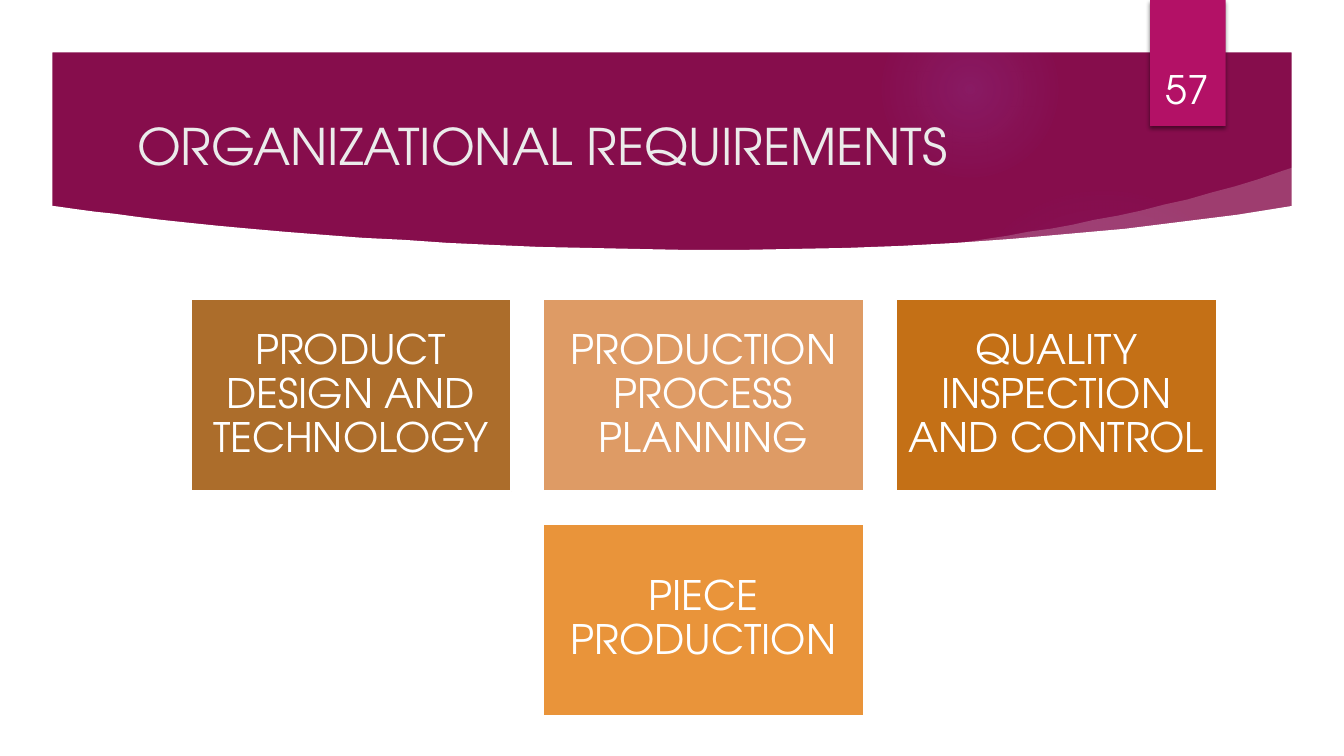
from dataclasses import dataclass

from pptx import Presentation
from pptx.dml.color import RGBColor
from pptx.enum.shapes import MSO_SHAPE
from pptx.enum.text import MSO_ANCHOR, MSO_AUTO_SIZE, PP_ALIGN
from pptx.oxml import parse_xml
from pptx.oxml.ns import nsdecls, qn
from pptx.util import Pt

PX = 9144


@dataclass(frozen=True)
class Theme:
    """Colours, font and type sizes of the slide."""
    font: str = "TeX Gyre Adventor"
    plum: str = "860D4C"
    tab: str = "B31166"
    glow: str = "9B6BF2"
    white: str = "FFFFFF"
    title: str = "EBEBEB"
    title_size: int = 36
    number_size: int = 28
    card_size: int = 29


THEME = Theme()
CARD_ROWS = [
    [("PRODUCT DESIGN AND TECHNOLOGY", "AC6D2B"),
     ("PRODUCTION PROCESS PLANNING", "DE9B65"),
     ("QUALITY INSPECTION AND CONTROL", "C47016")],
    [("PIECE PRODUCTION", "E9943A")],
]
BANNER_CURVE = [
    (1234, 0), (1178, 9), (1122, 16), (1066, 23), (1010, 28), (954, 33),
    (899, 37), (844, 40), (790, 42), (736, 43), (684, 44), (632, 44),
    (582, 43), (533, 42), (485, 41), (438, 39), (394, 37), (351, 34),
    (310, 32), (271, 29), (233, 26), (199, 23), (166, 20), (137, 17),
    (109, 14), (85, 11), (63, 8), (44, 6), (29, 4), (8, 1), (0, 0),
]
STREAK = [
    (884, 46), (980, 42), (1100, 28), (1239, 10), (1233, -38), (1221, -34),
    (1198, -26), (1175, -19), (1152, -13), (1128, -6), (1105, -1), (1082, 5),
    (1059, 10), (1036, 14), (1014, 19), (992, 23), (970, 26), (949, 30),
    (929, 33), (909, 36), (880, 39),
]


def to_emu(box):
    """Turn a box in px into EMU lengths."""
    return [round(length * PX) for length in box]


def paint(shape, color, outline=None):
    """Give a shape a flat fill, an optional outline and no shadow."""
    shape.shadow.inherit = False
    shape.fill.solid()
    shape.fill.fore_color.rgb = RGBColor.from_string(color)
    if outline:
        shape.line.color.rgb = RGBColor.from_string(outline)
        shape.line.width = Pt(1.5)
    else:
        shape.line.fill.background()


def add_block(slide, kind, box, color, outline=None):
    """Add a flat preset shape."""
    shape = slide.shapes.add_shape(kind, *to_emu(box))
    paint(shape, color, outline)
    return shape


def add_outline(slide, origin, points, color):
    """Add a closed polygon whose points are offsets from an origin."""
    left, top = origin
    start, *rest = [(left + x, top + y) for x, y in points]
    builder = slide.shapes.build_freeform(*start, scale=PX)
    builder.add_line_segments(rest, close=True)
    shape = builder.convert_to_shape()
    paint(shape, color)
    return shape


def write(shape, text, *, size, color, align=PP_ALIGN.LEFT,
          anchor=MSO_ANCHOR.MIDDLE, spacing=None, inset=None):
    """Write one formatted paragraph into a shape."""
    frame = shape.text_frame
    frame.word_wrap = True
    frame.auto_size = MSO_AUTO_SIZE.NONE
    frame.vertical_anchor = anchor
    if inset is not None:
        frame.margin_left = frame.margin_right = inset * PX
        frame.margin_top = frame.margin_bottom = inset * PX
    paragraph = frame.paragraphs[0]
    paragraph.alignment = align
    if spacing:
        paragraph.line_spacing = spacing
    run = paragraph.add_run()
    run.text = text
    run.font.name = THEME.font
    run.font.size = Pt(size)
    run.font.color.rgb = RGBColor.from_string(color)


def add_glow(slide, box, stops):
    """Add a round glow from (position, opacity) stops in percent."""
    shape = add_block(slide, MSO_SHAPE.OVAL, box, THEME.glow)
    stop_xml = "".join(
        f'<a:gs pos="{position * 1000}"><a:srgbClr val="{THEME.glow}">'
        f'<a:alpha val="{opacity * 1000}"/></a:srgbClr></a:gs>'
        for position, opacity in stops)
    gradient = parse_xml(
        f'<a:gradFill {nsdecls("a")} rotWithShape="1"><a:gsLst>{stop_xml}</a:gsLst>'
        '<a:path path="circle"><a:fillToRect l="50000" t="50000" r="50000" '
        'b="50000"/></a:path></a:gradFill>')
    properties = shape._element.spPr
    properties.replace(properties.find(qn("a:solidFill")), gradient)


def add_banner(slide, box):
    """Shape the plum banner with glows, a streak and white surroundings."""
    left, top, width, height = box
    add_glow(slide, (left + 891, top - 21, 308, 308), [(0, 7), (36, 6), (69, 0)])
    add_glow(slide, (left + 825, top - 203, 175, 175), [(0, 14), (36, 7), (73, 0)])
    streak = add_outline(slide, (left, top), STREAK, THEME.white)
    color = streak._element.spPr.find(qn("a:solidFill"))[0]
    color.append(parse_xml(f'<a:alpha {nsdecls("a")} val="20000"/>'))
    panel = [(0, height), (width, height), *BANNER_CURVE]
    add_outline(slide, (left, top), panel, THEME.white)
    border = add_block(slide, MSO_SHAPE.FRAME, (0, 0, 1333.33, 750), THEME.white)
    border.adjustments[0] = 0.52 / 7.5


def add_page_tab(slide, box, number):
    """Hang the page number tab with its soft shadow."""
    left, top, width, height = box
    tab = add_block(slide, MSO_SHAPE.RECTANGLE, box, THEME.tab)
    tab._element.spPr.find(qn("a:effectLst")).append(parse_xml(
        f'<a:outerShdw {nsdecls("a")} blurRad="{Pt(3)}" dist="{Pt(2)}" '
        'dir="5400000" rotWithShape="0"><a:srgbClr val="000000">'
        '<a:alpha val="45000"/></a:srgbClr></a:outerShdw>'))
    label = slide.shapes.add_textbox(
        *to_emu((left - 9, top + 32, width + 17, height - 41)))
    write(label, number, size=THEME.number_size, color=THEME.white,
          align=PP_ALIGN.CENTER, anchor=MSO_ANCHOR.BOTTOM)


def add_title(slide, box, text):
    """Place the title placeholder in front of the banner."""
    title = slide.shapes.title
    title.left, title.top, title.width, title.height = to_emu(box)
    write(title, text, size=THEME.title_size, color=THEME.title)
    slide.shapes._spTree.append(title._element)


def add_cards(slide, box, rows):
    """Lay out rows of cards, each row centred in the box."""
    left, top, width, height = box
    gap = 32
    columns = max(len(row) for row in rows)
    card_width = (width - gap * (columns - 1)) / columns
    card_height = (height - gap * (len(rows) - 1)) / len(rows)
    for row_index, row in enumerate(rows):
        row_width = len(row) * (card_width + gap) - gap
        row_left = left + (width - row_width) / 2
        card_top = top + row_index * (card_height + gap)
        for column, (text, color) in enumerate(row):
            card_left = row_left + column * (card_width + gap)
            card = add_block(slide, MSO_SHAPE.RECTANGLE,
                             (card_left, card_top, card_width, card_height),
                             color, THEME.white)
            write(card, text, size=THEME.card_size, color=THEME.white,
                  align=PP_ALIGN.CENTER, spacing=0.9, inset=11)


def main():
    """Build and save the slide."""
    presentation = Presentation()
    presentation.slide_width, presentation.slide_height = to_emu((1333.33, 750))
    slide = presentation.slides.add_slide(presentation.slide_layouts[5])
    slide.background.fill.solid()
    slide.background.fill.fore_color.rgb = RGBColor.from_string(THEME.plum)
    add_banner(slide, (50, 204, 1234, 496))
    add_page_tab(slide, (1141, 0, 75, 125), "57")
    add_title(slide, (126, 106, 958, 77), "ORGANIZATIONAL REQUIREMENTS")
    add_cards(slide, (189, 297, 1018, 413), CARD_ROWS)
    presentation.save("out.pptx")


if __name__ == "__main__":
    main()
